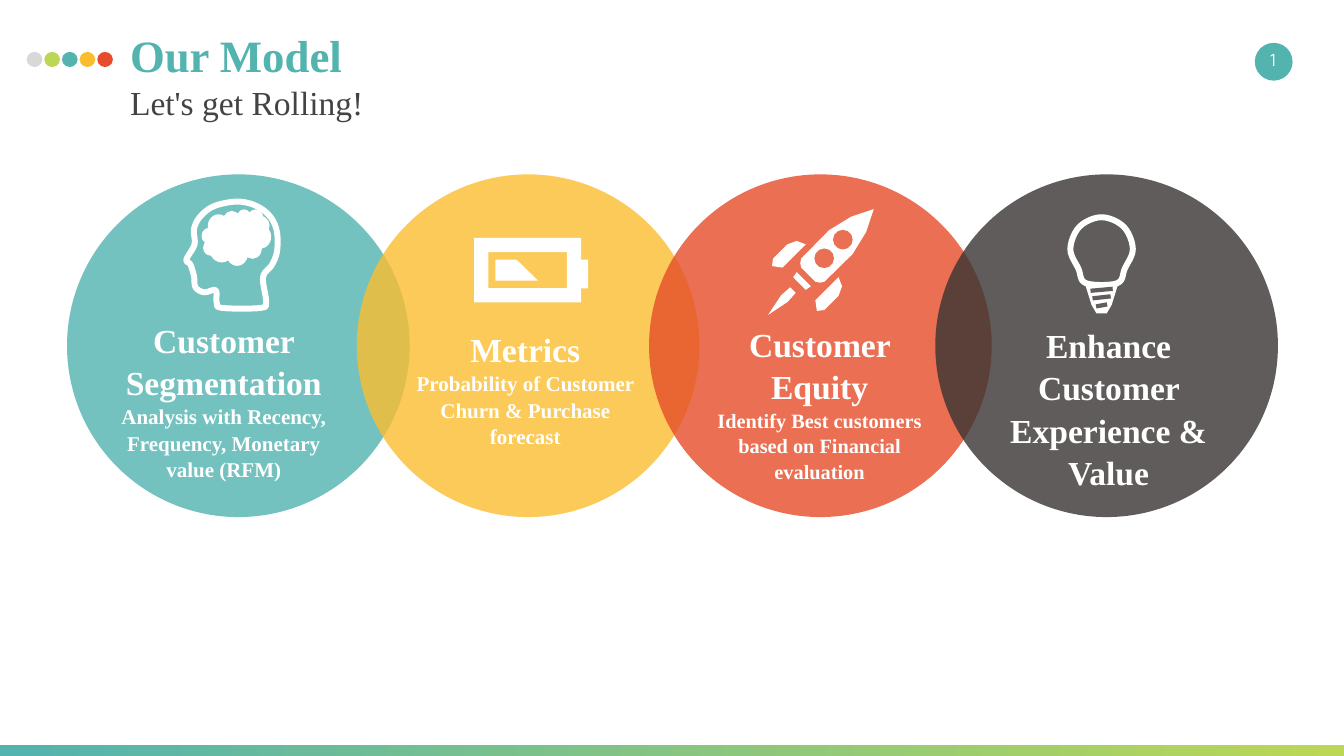
from lxml import etree
from pptx import Presentation
from pptx import util as u
from pptx.dml.color import RGBColor
from pptx.enum import shapes, text
from pptx.oxml.ns import qn

TEAL, GOLD, RED, LIME = "52B3AF", "FABD30", "E54C29", "BBD755"
DARK, WHITE, GREY, INK = "383433", "FFFFFF", "D8D8D8", "434343"
CORAL, ASH = "EA7054", "605D5C"
SERIF = "Times New Roman"
KIND = shapes.MSO_SHAPE

HEAD = [(4.69, 4), (5.05, 4.07), (5.34, 4.27), (5.49, 4.57), (5.5, 4.97), (5.4, 5.25),
        (5.22, 5.5), (5.28, 5.98), (5.17, 6.11), (4.41, 6.11), (4.3, 6), (4.28, 5.76),
        (4.05, 5.8), (3.88, 5.7), (3.85, 5.48), (3.78, 5.25), (3.7, 5.15), (3.86, 4.85),
        (3.85, 4.54), (3.98, 4.29), (4.25, 4.09)]
CHARGE = [(9.83, 5.15), (10.25, 5.15), (10.68, 5.57), (9.83, 5.57)]
HULL = [(17.34, 4.15), (16.89, 4.3), (16.45, 4.57), (15.9, 5.13), (15.88, 5.22), (15.9, 5.31)]
FIN = [(15.99, 4.85), (15.81, 4.78), (15.62, 4.85), (15.34, 5.13), (15.32, 5.28), (15.53, 5.31)]
JET = [(15.81, 5.4), (15.74, 5.5)]
FLAME = [(15.24, 6.25), (15.5, 5.86), (15.68, 5.7)]
GLASS = [(21.86, 4.31), (22.3, 4.5), (22.48, 4.94), (22.32, 5.33), (22.17, 5.62)]
BASE = [(22.2, 5.6), (22.06, 6.05), (21.96, 6.22)]


def tint(code):
    return RGBColor.from_string(code)


def write(para, words, size=48, font=SERIF, color=WHITE, bold=False, align="CENTER", gap=1.0):
    para.alignment = getattr(text.PP_ALIGN, align)
    para.line_spacing = gap
    run = para.add_run()
    run.text = words
    face = run.font
    face.size, face.name, face.bold = u.Pt(size), font, bold
    face.color.rgb = tint(color)


def flip(dots, total=21.49):
    return [(total - y, total - x) for x, y in reversed(dots)]


def swap(dots, axis=21.86):
    return [(2 * axis - x, y) for x, y in reversed(dots)]


def curve(dots, steps=6):
    out = []
    for n in range(len(dots)):
        quad = [dots[(n + k) % len(dots)] for k in (-1, 0, 1, 2)]
        for t in (k / steps for k in range(steps)):
            out.append(tuple(
                b + t * (c - a + t * (2 * a - 5 * b + 4 * c - d + t * (3 * (b - c) + d - a))) / 2
                for a, b, c, d in zip(*quad)))
    return out


class Deck:
    """Holds the style and the current slide, and draws each kind of element."""

    def __init__(self, wide, high):
        self.file = Presentation()
        self.file.slide_width, self.file.slide_height = u.Inches(wide), u.Inches(high)
        self.slide = self.file.slides.add_slide(self.file.slide_layouts[5])
        self.pad = (u.Inches(0.27), u.Inches(0.13))

    def paint(self, shape, color):
        shape.shadow.inherit = False
        shape.fill.solid()
        shape.fill.fore_color.rgb = tint(color)
        shape.line.fill.background()

    def block(self, kind, box, color=WHITE, alpha=100):
        shape = self.slide.shapes.add_shape(kind, *map(u.Inches, box))
        self.paint(shape, color)
        if alpha < 100:
            code = shape.element.spPr.find(".//" + qn("a:srgbClr"))
            etree.SubElement(code, qn("a:alpha")).set("val", str(alpha * 1000))
        return shape

    def band(self, box, *colors):
        shape = self.block(KIND.RECTANGLE, box)
        shape.fill.gradient()
        shape.fill.gradient_angle = 0
        for stop, color in zip(shape.fill.gradient_stops, colors):
            stop.color.rgb = tint(color)

    def outline(self, dots, stroke=0):
        first, *rest = [(u.Inches(x), u.Inches(y)) for x, y in dots]
        pen = self.slide.shapes.build_freeform(*first, scale=1.0)
        pen.add_line_segments(rest, close=True)
        shape = pen.convert_to_shape()
        self.paint(shape, WHITE)
        if stroke:
            shape.fill.background()
            shape.line.color.rgb = tint(WHITE)
            shape.line.width = u.Pt(stroke)

    def line(self, ends, color, width):
        wire = self.slide.shapes.add_connector(shapes.MSO_CONNECTOR.STRAIGHT, *map(u.Inches, ends))
        wire.line.color.rgb = tint(color)
        wire.line.width = u.Pt(width)
        etree.SubElement(wire.element.spPr, qn("a:effectLst"))

    def frame(self, shape, box, anchor="TOP"):
        shape.left, shape.top, shape.width, shape.height = map(u.Inches, box)
        body = shape.text_frame
        body.word_wrap, body.auto_size = True, text.MSO_AUTO_SIZE.NONE
        body.vertical_anchor = getattr(text.MSO_ANCHOR, anchor)
        body.margin_left = body.margin_right = self.pad[0]
        body.margin_top = body.margin_bottom = self.pad[1]
        return body

    def title(self, box, words, **look):
        write(self.frame(self.slide.shapes.title, box).paragraphs[0], words, **look)

    def label(self, box, *lines, anchor="TOP"):
        body = self.frame(self.slide.shapes.add_textbox(0, 0, 0, 0), box, anchor)
        for n, (words, look) in enumerate(lines):
            write(body.add_paragraph() if n else body.paragraphs[0], words, **look)


def mind(deck):
    deck.outline(curve(HEAD), stroke=8.5)
    deck.block(KIND.CLOUD, (4, 4.15, 1.38, 1.12))


def battery(deck):
    case = deck.block(KIND.FRAME, (9.41, 4.72, 2.12, 1.28))
    case.adjustments[0] = 0.22
    deck.block(KIND.RECTANGLE, (11.53, 5.15, 0.14, 0.57))
    deck.outline(CHARGE)


def rocket(deck):
    for half in (HULL, JET, FLAME):
        deck.outline(half + flip(half))
    for fin in (FIN, flip(FIN)):
        deck.outline(fin)
    for step in (0, 0.37):
        deck.block(KIND.OVAL, (16.16 + step, 4.93 - step, 0.39, 0.39), CORAL)


def bulb(deck):
    deck.outline(curve(GLASS + swap(GLASS[1:])), stroke=8.5)
    deck.outline(BASE + swap(BASE))
    for y, half in ((5.75, 0.22), (5.9, 0.18), (6.06, 0.11)):
        deck.line((21.86 - half, y + 0.02, 21.86 + half, y - 0.02), ASH, 6)


def main():
    deck = Deck(26.67, 15)
    deck.band((0, 14.79, 26.67, 0.38), TEAL, LIME)
    deck.block(KIND.OVAL, (24.9, 0.85, 0.75, 0.75), TEAL)
    for n, color in enumerate((GREY, LIME, TEAL, GOLD, RED)):
        deck.block(KIND.OVAL, (0.53 + 0.35 * n, 1.03, 0.31, 0.3), color)
    deck.title((2.31, 0.41, 21.25, 1.6), "Our Model", size=64, color=TEAL, bold=True, align="LEFT")
    deck.label((2.31, 1.5, 21.25, 0.85), ("Let's get Rolling!", dict(color=INK, align="LEFT")))
    deck.label((24.68, 0.78, 1.17, 0.8), ("1", dict(size=24, font="Manrope")), anchor="MIDDLE")
    for x, color in ((1.33, TEAL), (7.08, GOLD), (12.88, RED), (18.56, DARK)):
        deck.block(KIND.OVAL, (x, 3.46, 6.8, 6.8), color, alpha=80)
    stages = (
        ((1.79, 6.18, 5.3, 3.63), "Customer Segmentation",
         "Analysis with Recency, Frequency, Monetary value (RFM)", 30),
        ((7.96, 6.36, 4.93, 3.05), "Metrics", "Probability of Customer Churn & Purchase forecast", 30),
        ((13.96, 6.26, 4.61, 3.55), "Customer Equity",
         "Identify Best customers based on Financial evaluation", 29),
        ((19.53, 6.28, 4.94, 3.05), "Enhance Customer Experience & Value", "", 0))
    for box, head, note, size in stages:
        lines = [(head, dict(bold=True, gap=1.05))]
        if note:
            lines.append((note, dict(size=size, bold=True, gap=1.05)))
        deck.label(box, *lines)
    for icon in (mind, battery, rocket, bulb):
        icon(deck)
    deck.file.save("out.pptx")


if __name__ == "__main__":
    main()
